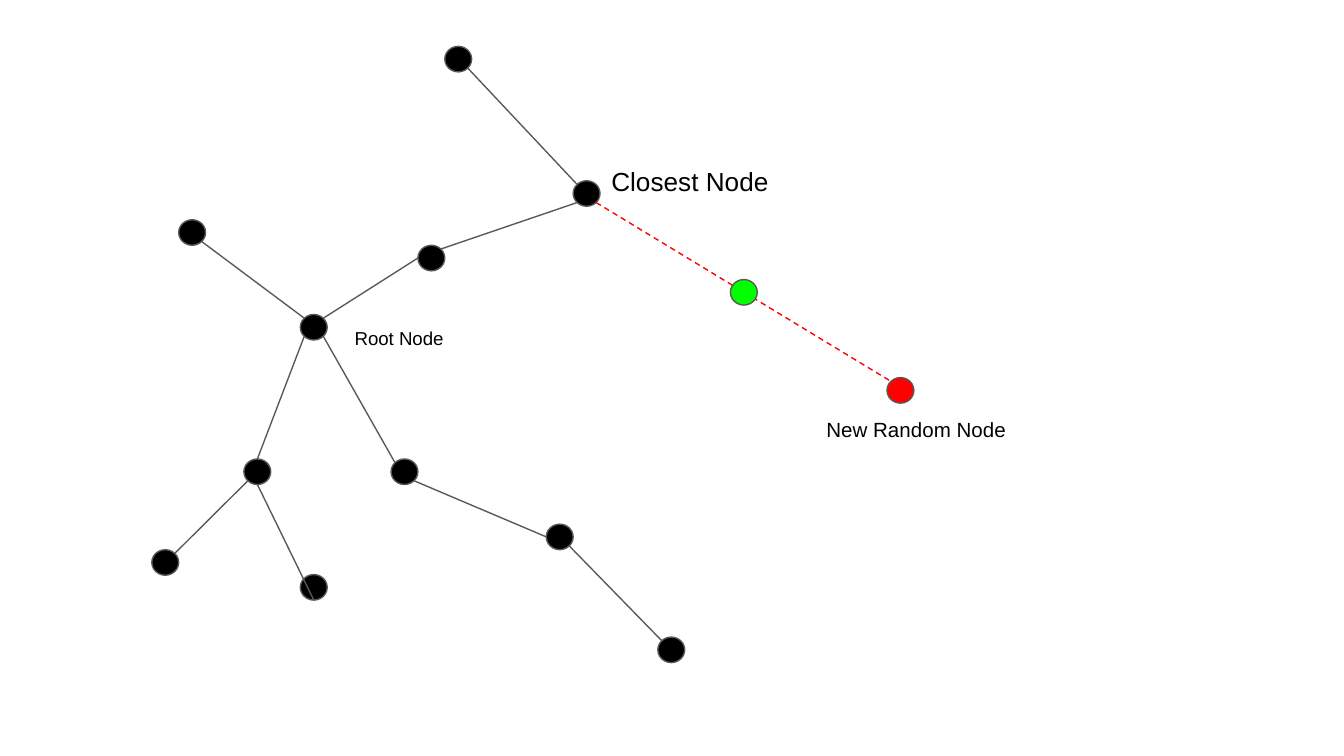
from dataclasses import dataclass

from lxml.etree import SubElement
from pptx import Presentation
from pptx.dml.color import RGBColor
from pptx.enum.dml import MSO_LINE
from pptx.enum.shapes import MSO_CONNECTOR, MSO_SHAPE
from pptx.oxml.ns import qn
from pptx.util import Pt

EMU_PER_PX = 4572


@dataclass(frozen=True)
class Theme:
    """Colours, font and type sizes of the slide."""
    node: str = "000000"
    edge: str = "595959"
    random: str = "FF0000"
    step: str = "00FF00"
    text: str = "000000"
    font: str = "Arial"
    line: float = 0.75
    small: int = 10
    medium: int = 11
    large: int = 14


@dataclass(frozen=True)
class Box:
    """A region of the slide in px."""
    left: int
    top: int
    width: int
    height: int

    def inner(self, left, top, width, height):
        """Return a box placed relative to this one."""
        return Box(self.left + left, self.top + top, width, height)

    def emu(self):
        """Return left, top, width and height in EMU."""
        return [emu(n) for n in (self.left, self.top, self.width, self.height)]


THEME = Theme()
NODE_WIDTH, NODE_HEIGHT = 40, 38
LABEL_MARGIN = 20
TREE_NODES = {
    "root": (221, 398),
    "branch": (396, 295),
    "right": (356, 613),
    "right child": (587, 710),
    "right leaf": (753, 878),
    "left": (137, 613),
    "left leaf": (0, 748),
    "middle leaf": (221, 785),
    "closest": (627, 199),
    "top leaf": (436, -1),
    "upper leaf": (40, 257),
}
TREE_EDGES = [
    ("branch", "W", "root", "NE"),
    ("root", "SE", "right", "NW"),
    ("right", "SE", "right child", "W"),
    ("right child", "SE", "right leaf", "NW"),
    ("branch", "NE", "closest", "SW"),
    ("closest", "NW", "top leaf", "SE"),
    ("upper leaf", "SE", "root", "NW"),
    ("root", "SW", "left", "N"),
    ("left", "SW", "left leaf", "NE"),
    ("left", "S", "middle leaf", "S"),
]


def emu(px):
    """Turn px into EMU."""
    return round(px * EMU_PER_PX)


def rim_point(box, side):
    """Return the point of an ellipse that faces a compass side."""
    across = ("E" in side) - ("W" in side)
    down = ("S" in side) - ("N" in side)
    reach = 0.5 / (across ** 2 + down ** 2) ** 0.5
    return (emu(box.left + box.width * (0.5 + across * reach)),
            emu(box.top + box.height * (0.5 + down * reach)))


def add_node(shapes, box, color):
    """Draw one round node."""
    node = shapes.add_shape(MSO_SHAPE.OVAL, *box.emu())
    node.shadow.inherit = False
    node.fill.solid()
    node.fill.fore_color.rgb = RGBColor.from_string(color)
    node.line.color.rgb = RGBColor.from_string(THEME.edge)
    node.line.width = Pt(THEME.line)


def add_edge(shapes, start, end, color, dash=None):
    """Draw a straight line between two points."""
    edge = shapes.add_connector(MSO_CONNECTOR.STRAIGHT, *start, *end)
    edge.line.color.rgb = RGBColor.from_string(color)
    edge.line.width = Pt(THEME.line)
    edge.line.dash_style = dash
    SubElement(edge._element.spPr, qn("a:effectLst"))


def add_label(shapes, box, text, size):
    """Write the name of a node."""
    frame = shapes.add_textbox(*box.emu()).text_frame
    frame.word_wrap = True
    frame.margin_left = frame.margin_right = emu(LABEL_MARGIN)
    frame.margin_top = frame.margin_bottom = emu(LABEL_MARGIN)
    frame.text = text
    font = frame.paragraphs[0].runs[0].font
    font.name = THEME.font
    font.size = Pt(size)
    font.color.rgb = RGBColor.from_string(THEME.text)


def add_tree(shapes, box):
    """Draw the existing tree and return the box of its closest node."""
    nodes = {name: box.inner(*spot, NODE_WIDTH, NODE_HEIGHT)
             for name, spot in TREE_NODES.items()}
    for node in nodes.values():
        add_node(shapes, node, THEME.node)
    for start, start_side, end, end_side in TREE_EDGES:
        add_edge(shapes, rim_point(nodes[start], start_side),
                 rim_point(nodes[end], end_side), THEME.edge)
    add_label(shapes, box.inner(282, 400, 198, 52), "Root Node", THEME.small)
    return nodes["closest"]


def add_extension(shapes, box, closest):
    """Draw the random node and the step towards it from the closest node."""
    random = box.inner(430, 336, NODE_WIDTH, NODE_HEIGHT)
    add_node(shapes, random, THEME.random)
    add_label(shapes, box.inner(320, 376, 308, 58), "New Random Node", THEME.medium)
    add_label(shapes, box.inner(0, 0, 390, 58), "Closest Node", THEME.large)
    add_edge(shapes, rim_point(closest, "SE"), rim_point(random, "NW"),
             THEME.random, MSO_LINE.DASH)
    add_node(shapes, box.inner(197, 190, NODE_WIDTH, NODE_HEIGHT), THEME.step)


def main():
    """Build the deck and save it."""
    deck = Presentation()
    deck.slide_width, deck.slide_height = emu(2000), emu(1125)
    page = deck.slides.add_slide(deck.slide_layouts[6])
    shapes = page.shapes.add_group_shape().shapes
    closest = add_tree(shapes, Box(226, 70, 793, 916))
    add_extension(shapes, Box(890, 226, 628, 434), closest)
    deck.save("out.pptx")


if __name__ == "__main__":
    main()
